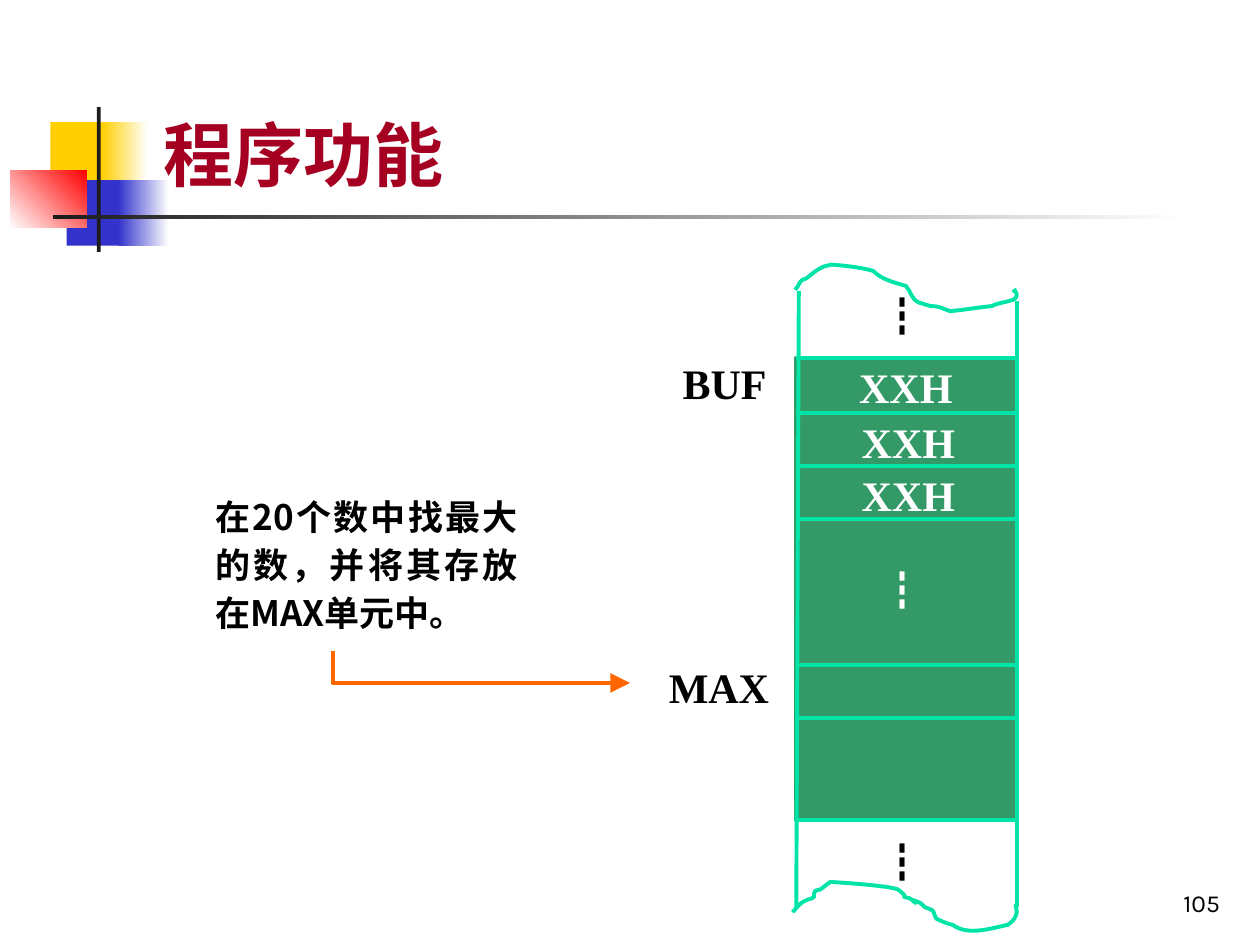
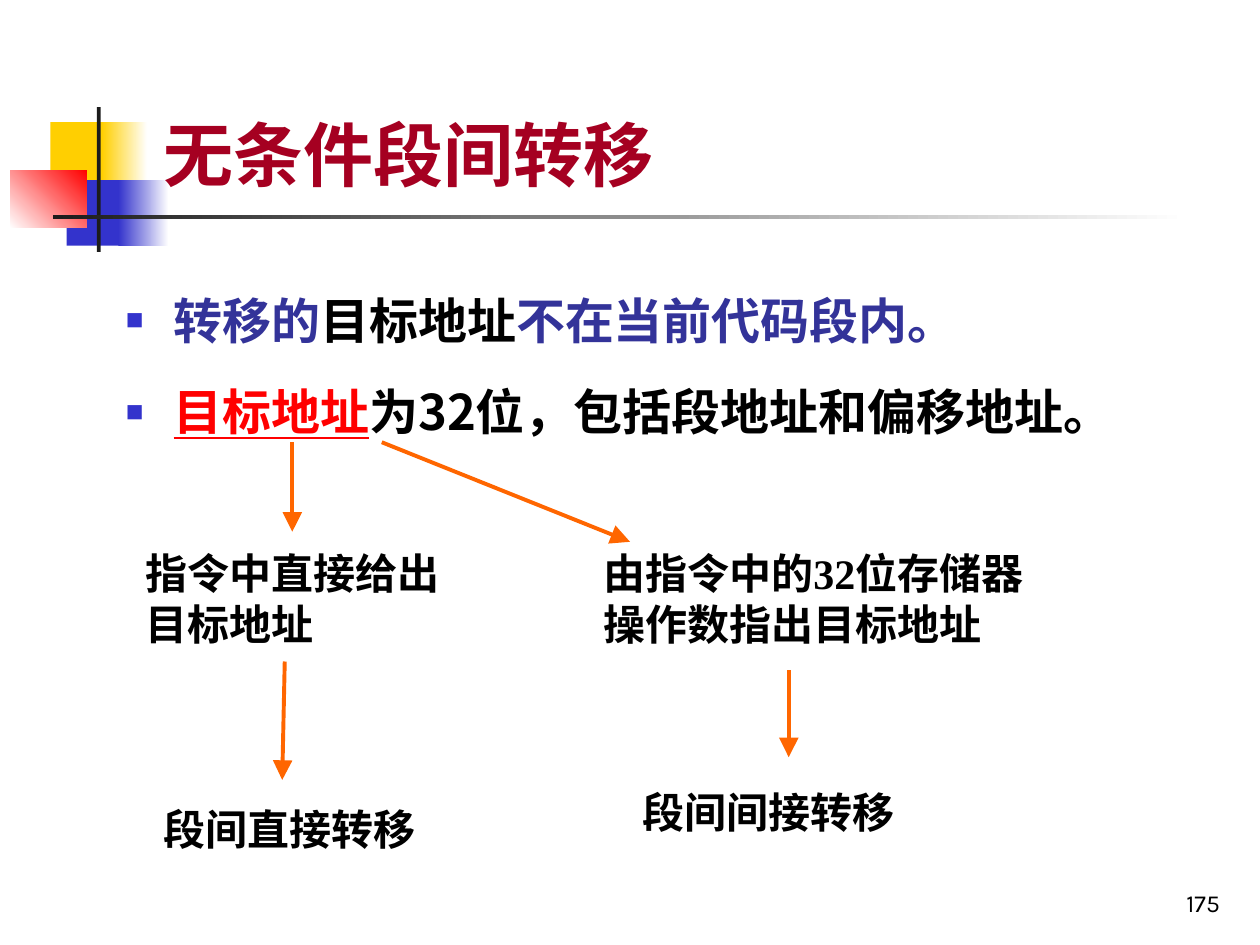
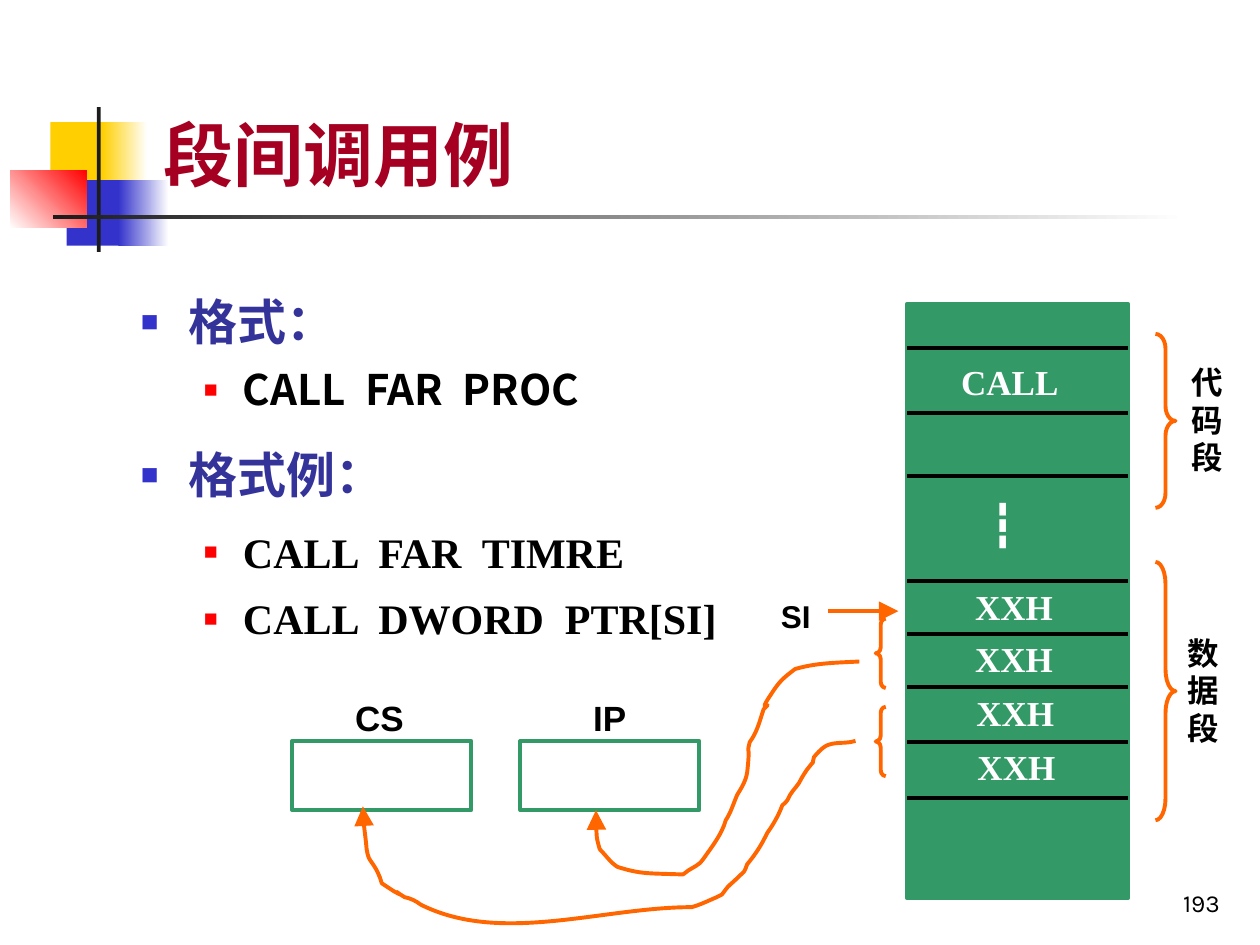
from lxml import etree
from pptx import Presentation
from pptx import util as u
from pptx.dml import color as dml
from pptx.enum import shapes, text
from pptx.oxml import ns

HUES = {
    "black": "000000", "white": "FFFFFF", "ink": "1C1C1C", "title": "A50021",
    "gold": "FFCF01", "blue": "3333CC", "navy": "333399", "red": "FF0000",
    "green": "339966", "mint": "00E4A8", "flame": "FF6600",
}
SANS, SERIF, ARIAL, PAGE = "Noto Sans CJK SC", "Times New Roman", "Arial", "Karla"
DOTS = "┇"
SHAPE, ALIGN = shapes.MSO_SHAPE, text.PP_ALIGN

# Curves: a start point, then two handles and an end point for each span
LOWER = [
    (6.29, 7.24), (6.31, 7.22), (6.34, 7.18), (6.37, 7.16), (6.38, 7.15), (6.4, 7.15),
    (6.41, 7.14), (6.43, 7.14), (6.44, 7.13), (6.46, 7.12), (6.46, 7.1), (6.46, 7.08),
    (6.47, 7.07), (6.48, 7.06), (6.5, 7.07), (6.51, 7.06), (6.54, 7.04), (6.56, 7.02),
    (6.59, 7), (6.76, 7.01), (6.88, 7.02), (7.04, 7.04), (7.08, 7.05), (7.12, 7.05),
    (7.14, 7.07), (7.24, 7.15), (7.11, 7.1), (7.22, 7.13), (7.36, 7.23), (7.14, 7.09),
    (7.31, 7.17), (7.33, 7.18), (7.33, 7.19), (7.34, 7.2), (7.36, 7.21), (7.37, 7.21),
    (7.39, 7.22), (7.4, 7.23), (7.41, 7.23), (7.41, 7.24), (7.42, 7.26), (7.42, 7.28),
    (7.43, 7.29), (7.44, 7.3), (7.54, 7.34), (7.56, 7.34), (7.68, 7.43), (7.86, 7.37),
    (8, 7.34), (8.04, 7.31), (8.06, 7.29), (8.07, 7.24), (8.06, 7.18), (8.06, 7.17),
    (8.06, 7.2)]
UPPER = [
    (6.31, 2.3), (6.36, 2.25), (6.33, 2.23), (6.4, 2.21), (6.44, 2.18), (6.47, 2.15),
    (6.51, 2.13), (6.54, 2.11), (6.57, 2.11), (6.6, 2.1), (6.71, 2.11), (6.82, 2.12),
    (6.93, 2.15), (7, 2.22), (7.09, 2.24), (7.19, 2.27), (7.23, 2.31), (7.23, 2.37),
    (7.29, 2.4), (7.32, 2.41), (7.35, 2.42), (7.39, 2.43), (7.41, 2.43), (7.43, 2.43),
    (7.46, 2.44), (7.49, 2.45), (7.54, 2.47), (7.54, 2.47), (7.66, 2.46), (7.76, 2.44),
    (7.87, 2.43), (7.93, 2.4), (7.99, 2.4), (8.04, 2.38), (8.05, 2.37), (8.07, 2.37),
    (8.07, 2.35), (8.07, 2.28), (8.01, 2.33), (8.07, 2.3)]
TO_IP = [
    (6.82, 5.25), (6.64, 5.26), (6.48, 5.26), (6.31, 5.31), (6.22, 5.38), (6.19, 5.4),
    (6.12, 5.51), (5.99, 5.7), (6.16, 5.53), (6.06, 5.63), (6.03, 5.72), (6.01, 5.81),
    (5.95, 5.89), (5.92, 6.02), (5.96, 5.86), (5.93, 6.13), (5.92, 6.2), (5.88, 6.26),
    (5.85, 6.31), (5.82, 6.38), (5.8, 6.45), (5.76, 6.51), (5.73, 6.62), (5.65, 6.72),
    (5.58, 6.82), (5.56, 6.86), (5.49, 6.89), (5.46, 6.91), (5.45, 6.92), (5.42, 6.94),
    (5.42, 6.94), (5.15, 6.93), (5.09, 6.94), (4.9, 6.88), (4.84, 6.84), (4.81, 6.79),
    (4.76, 6.74), (4.73, 6.64), (4.73, 6.54), (4.73, 6.43)]
TO_CS = [
    (6.79, 5.88), (6.78, 5.88), (6.76, 5.89), (6.75, 5.89), (6.69, 5.9), (6.64, 5.89),
    (6.58, 5.91), (6.53, 5.92), (6.46, 6.01), (6.46, 6.01), (6.44, 6.09), (6.47, 6.02),
    (6.42, 6.09), (6.4, 6.11), (6.36, 6.18), (6.36, 6.18), (6.34, 6.23), (6.3, 6.26),
    (6.27, 6.31), (6.26, 6.32), (6.26, 6.34), (6.25, 6.35), (6.24, 6.37), (6.22, 6.38),
    (6.21, 6.39), (6.18, 6.47), (6.14, 6.54), (6.09, 6.61), (6.08, 6.62), (6.08, 6.64),
    (6.07, 6.65), (6.03, 6.73), (5.98, 6.8), (5.93, 6.86), (5.9, 6.94), (5.92, 6.9),
    (5.84, 6.98), (5.81, 7.01), (5.78, 7.03), (5.76, 7.06), (5.75, 7.07), (5.74, 7.09),
    (5.73, 7.1), (5.72, 7.11), (5.7, 7.11), (5.69, 7.12), (5.62, 7.15), (5.56, 7.18),
    (5.49, 7.2), (4.78, 7.2), (3.98, 7.5), (3.34, 7.18), (3.3, 7.15), (3.26, 7.13),
    (3.21, 7.12), (3.04, 7.01), (3.28, 7.16), (3.12, 7.07), (3.09, 7.05), (3.03, 7.01),
    (3.03, 7.01), (3.01, 6.94), (2.99, 6.9), (2.94, 6.83), (2.92, 6.81), (2.91, 6.74),
    (2.91, 6.74), (2.9, 6.63), (2.88, 6.51), (2.88, 6.4)]


def hue(name):
    return dml.RGBColor.from_string(HUES[name])


def child(parent, tag, **attrs):
    return etree.SubElement(parent, ns.qn(tag), attrs)


def write(par, words, size=24, color="black", font=SERIF, bold=True, under=False):
    """Add a run of text to a paragraph."""
    run = par.add_run()
    run.text = words
    face = run.font
    face.size, face.bold, face.name = u.Pt(size), bold, font
    face.color.rgb = hue(color)
    if under:
        face.underline = True
    child(run._r.get_or_add_rPr(), "a:ea", typeface=SANS)


class Deck:
    """The shared style and the slide being drawn."""

    def __init__(self):
        self.prs = Presentation()
        self.prs.slide_width, self.prs.slide_height = u.Inches(10), u.Inches(7.5)
        self.items = None

    def page(self, title, number):
        self.items = self.prs.slides.add_slide(self.prs.slide_layouts[6]).shapes
        # Corner blocks and rules
        self.shape(0.4, 0.97, 0.48, 0.52, fill="gold")
        self.blend(0.81, 0.97, 0.36, 0.52, "gold", "white")
        self.shape(0.53, 1.43, 0.46, 0.52, fill="blue")
        self.blend(0.94, 1.43, 0.4, 0.52, "blue", "white")
        self.blend(0.08, 1.35, 0.61, 0.46, "white", "red", 45)
        self.shape(0.77, 0.85, 0.03, 1.15, fill="ink")
        self.blend(0.42, 1.71, 9, 0.03, "ink", "white")
        # Page number and title
        self.label(7.7, 6.83, 2.08, 0.5, str(number), align=ALIGN.RIGHT, low=True,
                   size=14, font=PAGE, bold=False)
        self.label(1.2, 0, 8.52, 1.6, title, low=True, size=40, color="title", font=SANS)

    def shape(self, x, y, w, h, kind=SHAPE.RECTANGLE, fill=None, line=None):
        item = self.items.add_shape(kind, *map(u.Inches, (x, y, w, h)))
        self.paint(item, fill, line)
        return item

    def paint(self, item, fill, line):
        item.shadow.inherit = False
        if fill:
            item.fill.solid()
            item.fill.fore_color.rgb = hue(fill)
        else:
            item.fill.background()
        if line:
            self.stroke(item, line)
        else:
            item.line.fill.background()

    def stroke(self, item, color, arrow=False):
        item.line.color.rgb = hue(color)
        item.line.width = u.Pt(2.25)
        if arrow:
            child(item.line._get_or_add_ln(), "a:tailEnd",
                  type="triangle", w="lg", len="lg")

    def blend(self, x, y, w, h, start, end, angle=0):
        fill = self.shape(x, y, w, h).fill
        fill.gradient()
        fill.gradient_angle = angle
        for stop, name, spot in zip(fill.gradient_stops, (start, end), (0, 1)):
            stop.color.rgb = hue(name)
            stop.position = spot

    def frame(self, x, y, w, h):
        frame = self.items.add_textbox(*map(u.Inches, (x, y, w, h))).text_frame
        frame.word_wrap = True
        return frame

    def label(self, x, y, w, h, words, align=None, space=None, low=False, **style):
        frame = self.frame(x, y, w, h)
        if low:
            frame.vertical_anchor = text.MSO_ANCHOR.BOTTOM
        par = frame.paragraphs[0]
        par.alignment, par.line_spacing = align, space
        write(par, words, **style)

    def bullets(self, x, y, w, h, rows):
        """Rows are (level, line spacing, space before, runs)."""
        looks = [(0.38, 0.38, "blue", 60), (0.81, 0.31, "red", 55)]
        frame = self.frame(x, y, w, h)
        frame.margin_top = 0
        for index, (level, space, before, runs) in enumerate(rows):
            par = frame.add_paragraph() if index else frame.paragraphs[0]
            left, hang, color, size = looks[level]
            par.level, par.line_spacing = level, space
            if index:
                par.space_before = u.Pt(before)
            props = par._p.get_or_add_pPr()
            props.set("marL", str(u.Inches(left)))
            props.set("indent", str(-u.Inches(hang)))
            child(child(props, "a:buClr"), "a:srgbClr", val=HUES[color])
            child(props, "a:buSzPct", val=str(size * 1000))
            child(props, "a:buFont", typeface=ARIAL)
            child(props, "a:buChar", char="■")
            for words, style in runs:
                write(par, words, **style)

    def line(self, x1, y1, x2, y2, color="flame", arrow=False,
             kind=shapes.MSO_CONNECTOR.STRAIGHT):
        item = self.items.add_connector(kind, *map(u.Inches, (x1, y1, x2, y2)))
        self.stroke(item, color, arrow)
        child(item._element.spPr, "a:effectLst")
        return item

    def elbow(self, x1, y1, x2, y2):
        """Arrow going down, then right: a quarter-turned two-leg connector."""
        mx, my, dx, dy = (x1 + x2) / 2, (y1 + y2) / 2, (x2 - x1) / 2, (y2 - y1) / 2
        item = self.line(mx + dy, my - dx, mx - dy, my + dx, arrow=True,
                         kind=shapes.MSO_CONNECTOR.ELBOW)
        props = item._element.spPr
        props.find(ns.qn("a:xfrm")).set("rot", str(270 * 60000))
        props.find(ns.qn("a:prstGeom")).set("prst", "bentConnector2")

    def curve(self, points, color="flame", arrow=False):
        """Build an outline, then turn each three points into a Bézier span."""
        first, *rest = [(u.Inches(x), u.Inches(y)) for x, y in points]
        pen = self.items.build_freeform(*first)
        pen.add_line_segments(rest, close=False)
        item = pen.convert_to_shape()
        track = next(item._element.iter(ns.qn("a:path")))
        legs = track.findall(ns.qn("a:lnTo"))
        for start in range(0, len(legs), 3):
            span = child(track, "a:cubicBezTo")
            for leg in legs[start:start + 3]:
                span.append(leg[0])
                track.remove(leg)
        self.paint(item, None, color)
        if arrow:
            self.stroke(item, color, arrow)

    def brace(self, x, y, w, h, bend, turn=0):
        item = self.shape(x, y, w, h, SHAPE.LEFT_BRACE, line="flame")
        item.adjustments[0] = bend
        item.rotation = turn


def purpose(deck):
    deck.page("程序功能", 105)
    # Memory strip
    left, right = 6.32, 8.07
    deck.shape(left, 2.84, right - left, 3.67, fill="green", line="green")
    for y in (3.28, 3.7, 4.12, 5.28, 5.7, 6.51):
        deck.line(left, y, right, y, "mint")
    deck.line(6.34, 2.31, left, 7.2, "mint")
    deck.line(right, 2.39, right, 7.2, "mint")
    # Torn ends and top edge
    deck.curve(LOWER, "mint")
    deck.curve(UPPER, "mint")
    deck.line(left, 2.84, right, 2.84, "mint")
    # Cell contents and names
    for y, color in ((2.26, "black"), (6.59, "black"), (4.43, "white")):
        deck.label(6.9, y, 0.67, 0.5, DOTS, color=color, font=SANS, bold=False)
    deck.label(5.21, 5.2, 1.17, 0.5, "MAX")
    deck.label(5.32, 2.79, 1.17, 0.5, "BUF")
    for x, y in ((6.72, 2.82), (6.74, 3.26), (6.74, 3.68)):
        deck.label(x, y, 1.17, 0.5, "XXH", color="white")
    # Task and its result
    deck.label(1.61, 3.83, 2.6, 1.26, "在20个数中找最大的数，并将其存放在MAX单元中。",
               align=ALIGN.JUSTIFY, space=1.15, size=20, font=SANS)
    deck.elbow(2.64, 5.17, 5, 5.42)


def jump(deck):
    deck.page("无条件段间转移", 175)
    base = {"size": 28, "font": SANS}
    navy = {**base, "color": "navy"}
    deck.bullets(0.9, 2.21, 8.5, 1.7, [
        (0, 1.2, 0, [("转移的", navy), ("目标地址", base), ("不在当前代码段内。", navy)]),
        (0, 1.2, 12, [("目标地址", {**base, "color": "red", "under": True}),
                      ("为32位，包括段地址和偏移地址。", base)]),
    ])
    # Two ways and what they lead to
    for x, y, w, h, words in (
            (1.06, 4.3, 2.58, 0.9, "指令中直接给出目标地址"),
            (4.69, 4.3, 3.7, 0.9, "由指令中的32位存储器操作数指出目标地址"),
            (1.2, 6.33, 2.58, 0.5, "段间直接转移"),
            (5, 6.19, 2.58, 0.5, "段间间接转移")):
        deck.label(x, y, w, h, words)
    for ends in ((2.26, 5.25, 2.24, 6.19), (6.26, 5.32, 6.26, 6.01),
                 (2.32, 3.51, 2.32, 4.22), (3.03, 3.51, 5, 4.3)):
        deck.line(*ends, arrow=True)


def call(deck):
    deck.page("段间调用例", 193)
    head = {"size": 28, "color": "navy", "font": SANS}
    deck.bullets(1.02, 2.22, 5.12, 3.7, [
        (0, 1.2, 0, [("格式：", head)]),
        (1, 1.2, 2, [("CALL  FAR  PROC", {"font": SANS})]),
        (0, 1.15, 12.5, [("格式例：", {**head, "font": SERIF})]),
        (1, 1.15, 8.5, [("CALL  FAR  TIMRE", {})]),
        (1, 1.15, 5, [("CALL  DWORD  PTR[SI]", {})]),
    ])
    # Memory strip
    left, wide = 7.2, 1.75
    deck.shape(left, 2.41, wide, 4.72, fill="green", line="green")
    for y in (2.76, 3.28, 3.78, 4.61, 5.03, 5.45, 5.89, 6.33):
        deck.line(left, y, left + wide, y, "black")
    for x, y, words in ((7.53, 2.81, "CALL"), (7.64, 4.6, "XXH"), (7.64, 5.01, "XXH"),
                        (7.65, 5.44, "XXH"), (7.66, 5.87, "XXH")):
        deck.label(x, y, 1.17, 0.43, words, size=20, color="white")
    deck.label(7.76, 3.91, 0.58, 0.5, DOTS, color="white")
    # Segments
    deck.brace(9.17, 2.65, 0.16, 1.38, 0.73, 180)
    deck.brace(9.17, 4.46, 0.16, 2.05, 1.08, 180)
    for x, y, words in ((9.33, 2.83, "代码段"), (9.3, 4.98, "数据段")):
        deck.label(x, y, 0.5, 1, words, align=ALIGN.CENTER, size=18, font=SANS)
    # Pointer and word pairs
    deck.label(6.1, 4.69, 0.47, 0.4, "SI", size=18, font=ARIAL)
    deck.line(6.57, 4.85, 7.13, 4.85, arrow=True)
    for y in (4.91, 5.61):
        deck.brace(6.95, y, 0.08, 0.55, 0.58)
    # Registers and their loads
    for x, tag, w, name in ((2.32, 2.72, 0.71, "CS"), (4.13, 4.61, 0.63, "IP")):
        deck.shape(x, 5.88, 1.42, 0.55, line="green")
        deck.label(tag, 5.48, w, 0.43, name, size=20, font=ARIAL)
    deck.curve(TO_IP, arrow=True)
    deck.curve(TO_CS, arrow=True)


def main():
    deck = Deck()
    for build in (purpose, jump, call):
        build(deck)
    deck.prs.save("out.pptx")


if __name__ == "__main__":
    main()
